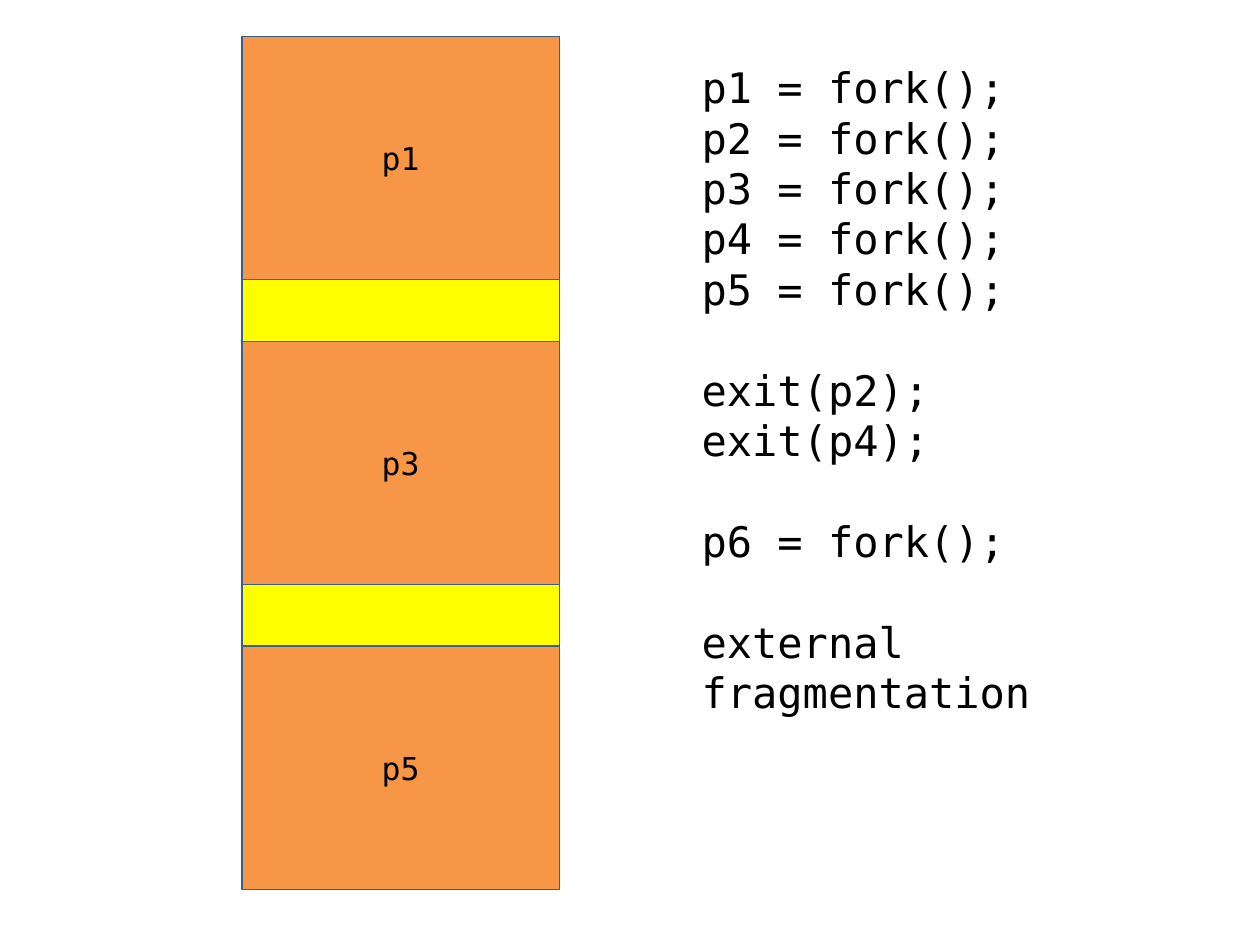
"""Builds a slide showing external fragmentation of memory between processes."""
from dataclasses import dataclass

from pptx import Presentation
from pptx.dml.color import RGBColor
from pptx.enum.shapes import MSO_SHAPE as Shape
from pptx.enum.text import MSO_ANCHOR as Anchor, MSO_AUTO_SIZE as AutoSize, PP_ALIGN as Align
from pptx.util import Inches, Pt


@dataclass(frozen=True)
class Theme:
    font: str = "DejaVu Sans Mono"
    label_size: float = 18
    code_size: float = 24
    code_line: float = 28.8
    outline_width: float = 1
    text: str = "000000"
    free: str = "FFFF00"
    used: str = "F79646"
    outline: str = "3A5F8C"


THEME = Theme()
MEMORY_LEFT, MEMORY_TOP, MEMORY_WIDTH, MEMORY_HEIGHT = 1.92, 0.29, 2.52, 6.69
PROCESS_HEIGHT, PROCESS_PITCH = 1.93, 2.42
PROCESSES = ["p1", "p3", "p5"]
CODE_GROUPS = [
    [f"p{number} = fork();" for number in range(1, 6)],
    ["exit(p2);", "exit(p4);"],
    ["p6 = fork();"],
    ["external fragmentation"],
]


def set_values(target, values):
    for name, value in values.items():
        setattr(target, name, value)


def write_line(para, text, size, **layout):
    set_values(para, layout)
    span = para.add_run()
    span.text = text
    set_values(span.font, {"name": THEME.font, "size": Pt(size)})
    span.font.color.rgb = RGBColor.from_string(THEME.text)


def add_block(page, top, height, color, label=None):
    block = page.shapes.add_shape(
        Shape.RECTANGLE, Inches(MEMORY_LEFT), Inches(top), Inches(MEMORY_WIDTH), Inches(height))
    block.shadow.inherit = False
    block.fill.solid()
    block.fill.fore_color.rgb = RGBColor.from_string(color)
    block.line.color.rgb = RGBColor.from_string(THEME.outline)
    block.line.width = Pt(THEME.outline_width)
    if label:
        block.text_frame.vertical_anchor = Anchor.MIDDLE
        write_line(block.text_frame.paragraphs[0], label, THEME.label_size, alignment=Align.CENTER)


def add_code(page, groups):
    box = page.shapes.add_textbox(Inches(5.47), Inches(0.44), Inches(4.29), Inches(4.95))
    frame = box.text_frame
    set_values(frame, {"word_wrap": True, "auto_size": AutoSize.SHAPE_TO_FIT_TEXT})
    para = frame.paragraphs[0]
    for group_index, group in enumerate(groups):
        for line_index, line in enumerate(group):
            if group_index or line_index:
                para = frame.add_paragraph()
            starts_group = group_index > 0 and line_index == 0
            gap = THEME.code_line if starts_group else 0
            write_line(para, line, THEME.code_size, space_before=Pt(gap))


def main():
    deck = Presentation()
    set_values(deck, {"slide_width": Inches(10), "slide_height": Inches(7.5)})
    page = deck.slides.add_slide(deck.slide_layouts.get_by_name("Blank"))
    add_block(page, MEMORY_TOP, MEMORY_HEIGHT, THEME.free)
    for index, process in enumerate(PROCESSES):
        add_block(page, MEMORY_TOP + index * PROCESS_PITCH, PROCESS_HEIGHT, THEME.used, process)
    add_code(page, CODE_GROUPS)
    deck.save("out.pptx")


if __name__ == "__main__":
    main()
